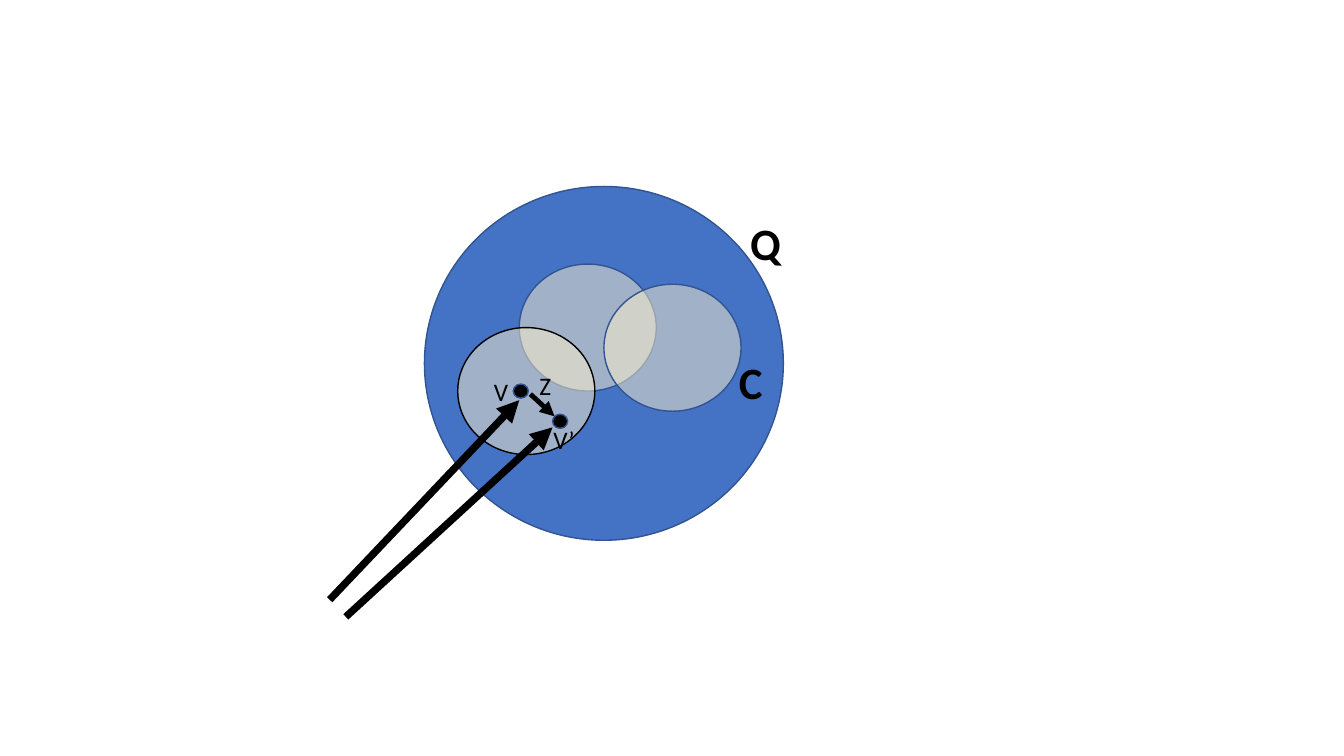
from lxml import etree
from pptx import Presentation
from pptx.dml.color import RGBColor
from pptx.enum.shapes import MSO_CONNECTOR, MSO_SHAPE
from pptx.enum.text import MSO_AUTO_SIZE
from pptx.oxml.ns import qn
from pptx.util import Inches, Pt

OVAL = MSO_SHAPE.OVAL
STRAIGHT = MSO_CONNECTOR.STRAIGHT
FIT_SHAPE = MSO_AUTO_SIZE.SHAPE_TO_FIT_TEXT

COLORS = {"blue": "4472C4", "outline": "325491", "cream": "FFF2CC", "black": "000000"}
SUBSET_SIZE = (1.36, 1.26)
DOT_SIZE = (0.15, 0.14)

# (left, top), (width, height), fill, line, opacity in percent
ELLIPSES = [
    ((4.21, 1.85), (3.56, 3.51), "blue", "outline", 100),
    ((5.15, 2.62), SUBSET_SIZE, "cream", "outline", 50),
    ((5.99, 2.82), SUBSET_SIZE, "cream", "outline", 50),
    ((4.54, 3.25), SUBSET_SIZE, "cream", "black", 50),
    ((5.09, 3.81), DOT_SIZE, "black", "outline", 100),
    ((5.48, 4.11), DOT_SIZE, "black", "outline", 100),
]
# start, end, line width
ARROWS = [
    ((3.27, 5.95), (5.15, 3.97), 5.25),
    ((3.43, 6.12), (5.48, 4.24), 5.25),
    ((5.26, 3.91), (5.5, 4.13), 3.5),
]
SET_FONT = {"size": Pt(32), "bold": True, "name": "Calibri"}
POINT_FONT = {"size": Pt(18), "bold": False, "name": "Calibri"}
# text, (left, top), (width, height), font
LABELS = [
    ("Q", (7.34, 2.09), (0.51, 0.64), SET_FONT),
    ("C", (7.23, 3.47), (0.44, 0.64), SET_FONT),
    ("V", (4.8, 3.68), (0.35, 0.4), POINT_FONT),
    ("V’", (5.39, 4.16), (0.42, 0.4), POINT_FONT),
    ("Z", (5.25, 3.62), (0.32, 0.4), POINT_FONT),
]


def color(name):
    """Return the named colour."""
    return RGBColor.from_string(COLORS[name])


def inches(*values):
    """Convert numbers to lengths."""
    return [Inches(value) for value in values]


def add_ellipse(slide, position, size, fill, line, opacity):
    """Add a filled ellipse, see-through when opacity is below 100."""
    shape = slide.shapes.add_shape(OVAL, *inches(*position, *size))
    shape.shadow.inherit = False
    shape.fill.solid()
    shape.fill.fore_color.rgb = color(fill)
    shape.line.color.rgb = color(line)
    shape.line.width = Pt(1)
    if opacity < 100:
        fill_color = shape.fill._xPr.find(qn("a:solidFill"))[0]
        etree.SubElement(fill_color, qn("a:alpha"), val=str(opacity * 1000))


def add_arrow(slide, start, end, width):
    """Add a straight black arrow pointing at its end."""
    connector = slide.shapes.add_connector(STRAIGHT, *inches(*start, *end))
    connector.line.color.rgb = color("black")
    connector.line.width = Pt(width)
    etree.SubElement(connector.line._get_or_add_ln(), qn("a:tailEnd"), type="triangle")
    etree.SubElement(connector._element.spPr, qn("a:effectLst"))


def add_label(slide, text, position, size, font_format):
    """Add a one-line text label."""
    frame = slide.shapes.add_textbox(*inches(*position, *size)).text_frame
    frame.word_wrap = False
    frame.auto_size = FIT_SHAPE
    run = frame.paragraphs[0].add_run()
    run.text = text
    run.font.color.rgb = color("black")
    for attribute, value in font_format.items():
        setattr(run.font, attribute, value)


presentation = Presentation()
presentation.slide_width, presentation.slide_height = inches(13.33, 7.5)
blank_layout = presentation.slide_layouts[6]
slide = presentation.slides.add_slide(blank_layout)

for add_part, parts in ((add_ellipse, ELLIPSES), (add_arrow, ARROWS), (add_label, LABELS)):
    for part in parts:
        add_part(slide, *part)

presentation.save("out.pptx")
